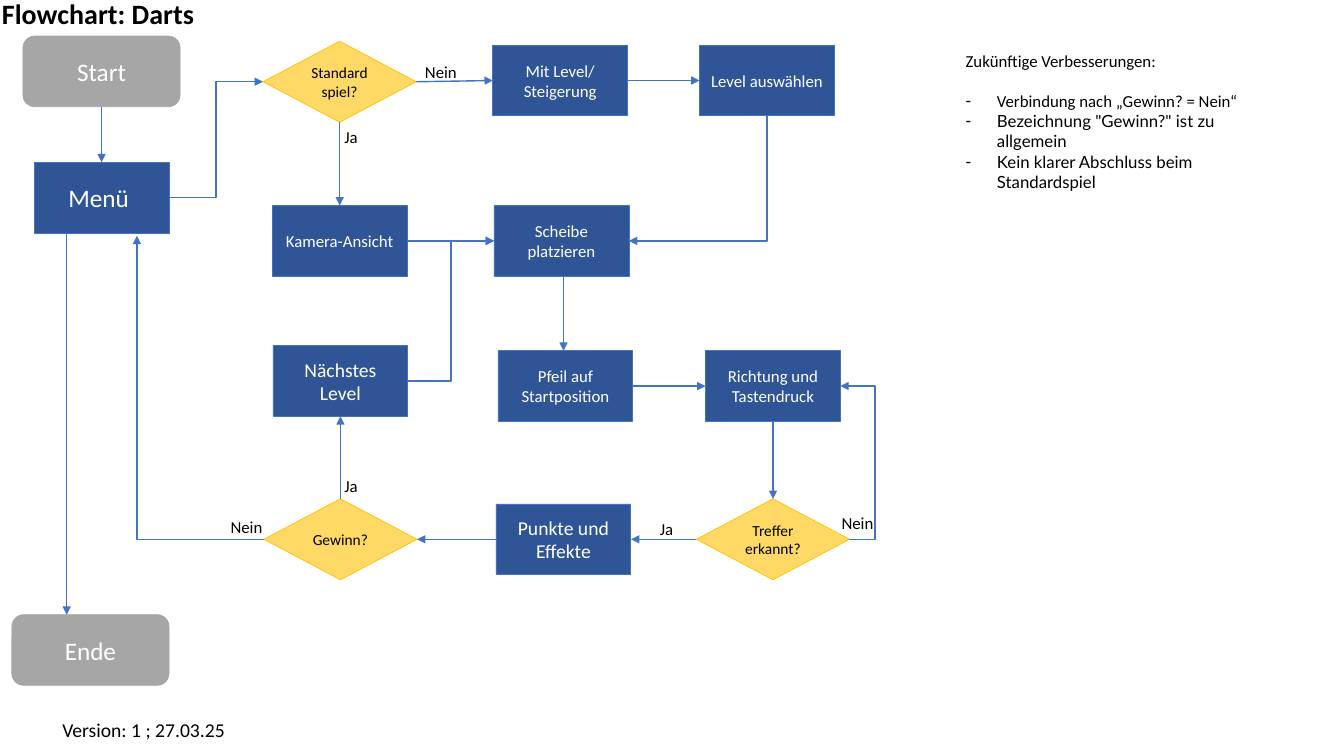
from pptx import Presentation
from pptx import util as u
from pptx.dml.color import RGBColor
from pptx.enum import shapes, text
from pptx.oxml.ns import qn
from lxml import etree

BLUE = RGBColor(0x2F, 0x55, 0x97)
LINE_BLUE = RGBColor(0x44, 0x72, 0xC4)
GREY = RGBColor(0xA6, 0xA6, 0xA6)
EDGE_GREY = RGBColor(0xA5, 0xA5, 0xA5)
YELLOW = RGBColor(0xFF, 0xD9, 0x66)
EDGE_YELLOW = RGBColor(0xFF, 0xC0, 0x00)
WHITE = RGBColor(0xFF, 0xFF, 0xFF)
BLACK = RGBColor(0, 0, 0)

KIND = shapes.MSO_SHAPE
TOP, LEFT, BOTTOM, RIGHT = range(4)


def write(p, words, size=12, color=BLACK, bold=False, font="Calibri",
          align=text.PP_ALIGN.LEFT, before=0):
    """Add one formatted run to a paragraph."""
    p.alignment = align
    p.space_before = u.Pt(before)
    r = p.add_run()
    r.text = words
    r.font.size, r.font.bold, r.font.name = u.Pt(size), bold, font
    r.font.color.rgb = color


def place(sp, x, y, w, h):
    sp.left, sp.top, sp.width, sp.height = (u.Cm(v) for v in (x, y, w, h))


def site(node, side):
    """Middle of one side of a node."""
    x, y = node.left + node.width // 2, node.top + node.height // 2
    return {TOP: (x, node.top), LEFT: (node.left, y),
            BOTTOM: (x, node.top + node.height),
            RIGHT: (node.left + node.width, y)}[side]


class Flowchart:
    def __init__(self, s):
        self.s = s

    def title(self, words):
        sp = self.s.shapes.title
        place(sp, 0, -0.1, 6, 0.9)
        tf = sp.text_frame
        tf.margin_left = u.Cm(0.05)
        tf.margin_top = tf.margin_bottom = 0
        tf.vertical_anchor = text.MSO_ANCHOR.TOP
        tf.auto_size = text.MSO_AUTO_SIZE.NONE
        write(tf.paragraphs[0], words, size=20, bold=True)

    def remarks(self, heading, items, x, y, w, h):
        sp = self.s.placeholders[1]
        place(sp, x, y, w, h)
        tf = sp.text_frame
        tf.auto_size = text.MSO_AUTO_SIZE.NONE
        self.bullet(tf.paragraphs[0], None)
        write(tf.paragraphs[0], heading)
        for i, (words, font) in enumerate(items):
            p = tf.add_paragraph()
            write(p, words, font=font, before=0 if i else 14.6)
            self.bullet(p, "-")

    def bullet(self, p, char):
        pPr = p._p.get_or_add_pPr()
        hang = u.Cm(0.79) if char else 0
        pPr.set("marL", str(hang))
        pPr.set("indent", str(-hang))
        if char:
            etree.SubElement(pPr, qn("a:buChar")).set("char", char)
        else:
            etree.SubElement(pPr, qn("a:buNone"))

    def label(self, words, x, y, w=1.42, h=0.76, size=12):
        sp = self.s.shapes.add_textbox(*(u.Cm(v) for v in (x, y, w, h)))
        sp.text_frame.word_wrap = True
        write(sp.text_frame.paragraphs[0], words, size=size)

    def node(self, kind, words, x, y, w, h, fill, edge, color, size):
        sp = self.s.shapes.add_shape(kind, *(u.Cm(v) for v in (x, y, w, h)))
        sp.shadow.inherit = False
        sp.fill.solid()
        sp.fill.fore_color.rgb = fill
        sp.line.color.rgb = edge
        sp.line.width = u.Pt(0.5)
        tf = sp.text_frame
        tf.word_wrap = True
        tf.vertical_anchor = text.MSO_ANCHOR.MIDDLE
        write(tf.paragraphs[0], words, size=size, color=color,
              align=text.PP_ALIGN.CENTER)
        return sp

    def terminal(self, words, x, y):
        return self.node(KIND.ROUNDED_RECTANGLE, words, x, y, 3.96, 1.78,
                         GREY, EDGE_GREY, WHITE, 18)

    def step(self, words, x, y, size=12):
        return self.node(KIND.RECTANGLE, words, x, y, 3.4, 1.78,
                         BLUE, LINE_BLUE, WHITE, size)

    def decision(self, words, x, y):
        return self.node(KIND.DIAMOND, words, x, y, 3.86, 2.04,
                         YELLOW, EDGE_YELLOW, BLACK, 11)

    def arrow(self, begin, end, kind=shapes.MSO_CONNECTOR.STRAIGHT):
        c = self.s.shapes.add_connector(kind, *begin, *end)
        c.line.color.rgb = LINE_BLUE
        c.line.width = u.Pt(1)
        ln = c.element.spPr.find(qn("a:ln"))
        etree.SubElement(ln, qn("a:tailEnd")).set("type", "triangle")
        etree.SubElement(c.element.spPr, qn("a:effectLst"))
        return c

    def join(self, a, a_side, b, b_side):
        c = self.arrow(site(a, a_side), site(b, b_side))
        c.begin_connect(a, a_side)
        c.end_connect(b, b_side)

    def elbow(self, begin, end, bend=None):
        """Arrow with two corners; bend moves the middle part."""
        c = self.arrow(begin, end, shapes.MSO_CONNECTOR.ELBOW)
        if bend is not None:
            guides = c.element.spPr.find(qn("a:prstGeom")).find(qn("a:avLst"))
            gd = etree.SubElement(guides, qn("a:gd"))
            gd.set("name", "adj1")
            gd.set("fmla", f"val {round(bend * 100000)}")

    def corner(self, begin, end, turn):
        """Arrow with one corner, turned by 90 or 180 degrees."""
        (x1, y1), (x2, y2) = begin, end
        w, h = abs(x2 - x1), abs(y2 - y1)
        if turn == 90:
            w, h = h, w
        x, y = (x1 + x2 - w) // 2, (y1 + y2 - h) // 2
        c = self.arrow((x, y), (x + w, y + h), shapes.MSO_CONNECTOR.ELBOW)
        c.element.spPr.find(qn("a:prstGeom")).set("prst", "bentConnector2")
        c.element.spPr.find(qn("a:xfrm")).set("rot", str(turn * 60000))


def main():
    prs = Presentation()
    prs.slide_width, prs.slide_height = u.Cm(33.87), u.Cm(19.05)
    f = Flowchart(prs.slides.add_slide(prs.slide_layouts[1]))

    # Heading, remarks and version
    f.title("Flowchart: Darts")
    f.remarks("Zukünftige Verbesserungen:", [
        ("Verbindung nach „Gewinn? = Nein“", "Calibri"),
        ('Bezeichnung "Gewinn?" ist zu allgemein', "Lato"),
        ("Kein klarer Abschluss beim Standardspiel", "Lato"),
    ], 24.08, 1.14, 8.5, 3.58)
    f.label("Version: 1 ; 27.03.25", 1.32, 17.96, 11.28, 0.86, size=14)

    # Nodes
    start = f.terminal("Start", 0.58, 0.91)
    ende = f.terminal("Ende", 0.3, 15.49)
    menu = f.step("Menü ", 0.86, 4.09, size=18)
    standard = f.decision("Standardspiel?", 6.63, 1.04)
    level_mode = f.step("Mit Level/ Steigerung", 12.42, 1.14)
    level_choice = f.step("Level auswählen", 17.63, 1.14)
    camera = f.step("Kamera-Ansicht", 6.86, 5.18)
    board = f.step("Scheibe platzieren", 12.45, 5.18)
    next_level = f.step("Nächstes Level", 6.88, 8.71, size=14)
    dart = f.step("Pfeil auf Startposition", 12.55, 8.84)
    aim = f.step("Richtung und Tastendruck", 17.78, 8.84)
    win = f.decision("Gewinn?", 6.65, 12.57)
    points = f.step("Punkte und Effekte", 12.5, 12.7, size=14)
    hit = f.decision("Treffer erkannt?", 17.55, 12.57)

    # Straight arrows
    for link in [(start, BOTTOM, menu, TOP), (standard, BOTTOM, camera, TOP),
                 (standard, RIGHT, level_mode, LEFT),
                 (level_mode, RIGHT, level_choice, LEFT),
                 (camera, RIGHT, board, LEFT), (dart, RIGHT, aim, LEFT),
                 (aim, BOTTOM, hit, TOP), (hit, LEFT, points, RIGHT),
                 (points, LEFT, win, RIGHT), (win, TOP, next_level, BOTTOM)]:
        f.join(*link)
    for x, upper, lower in [(14.2, board, dart), (1.68, menu, ende)]:
        f.arrow((u.Cm(x), upper.top + upper.height), (u.Cm(x), lower.top))

    # Bent arrows
    f.elbow(site(menu, RIGHT), site(standard, LEFT))
    f.elbow(site(next_level, RIGHT), site(board, LEFT))
    f.elbow(site(hit, RIGHT), site(aim, RIGHT), bend=-2.79)
    f.corner(site(level_choice, BOTTOM), site(board, RIGHT), 90)
    f.corner(site(win, LEFT), (u.Cm(3.45), u.Cm(5.94)), 180)

    # Answers beside the decisions
    for words, x, y in [("Ja", 8.43, 3.07), ("Nein", 10.46, 1.42),
                        ("Ja", 16.38, 12.95), ("Nein", 20.96, 12.8),
                        ("Ja", 8.43, 11.86), ("Nein", 5.56, 12.9)]:
        f.label(words, x, y)

    prs.save("out.pptx")


if __name__ == "__main__":
    main()
